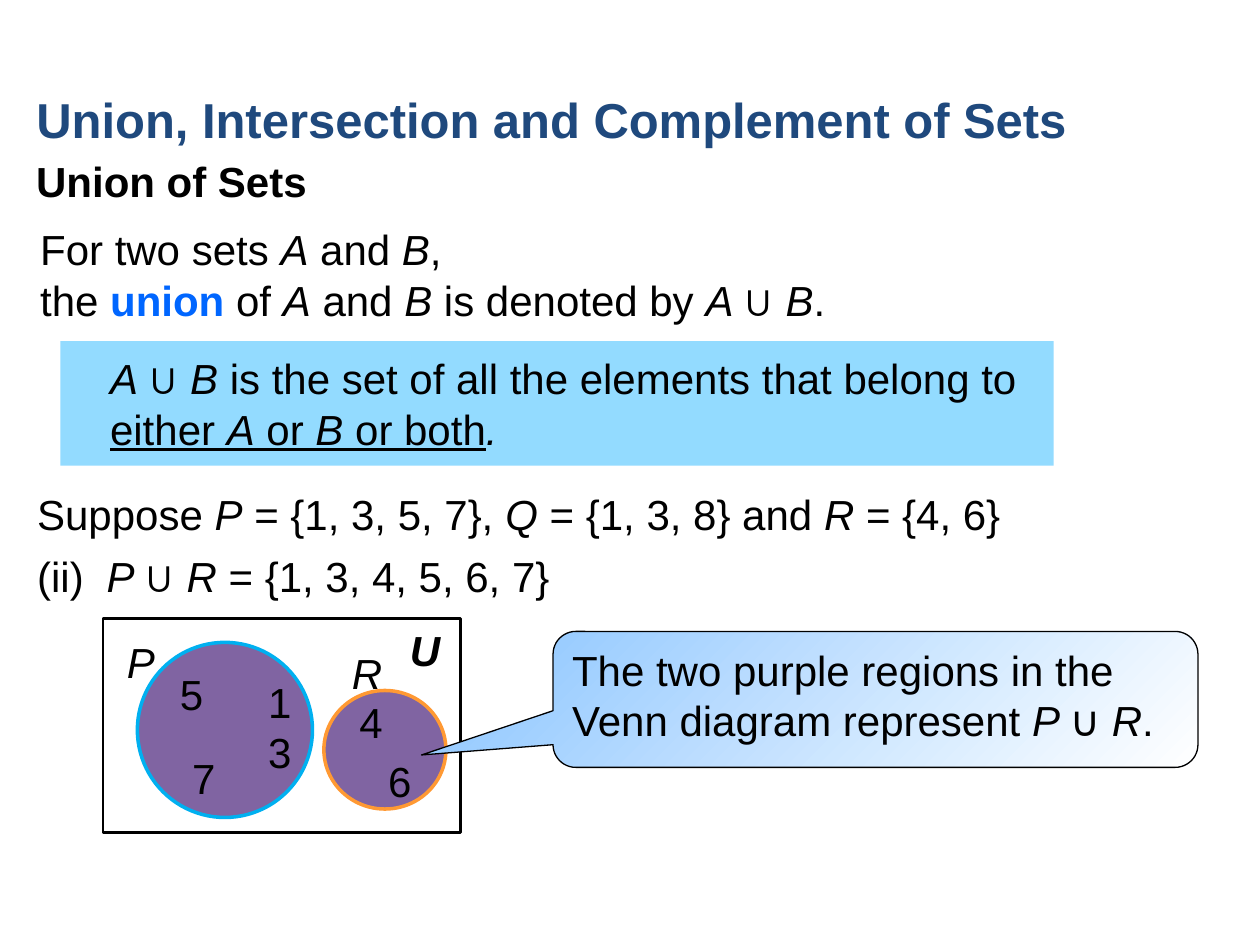
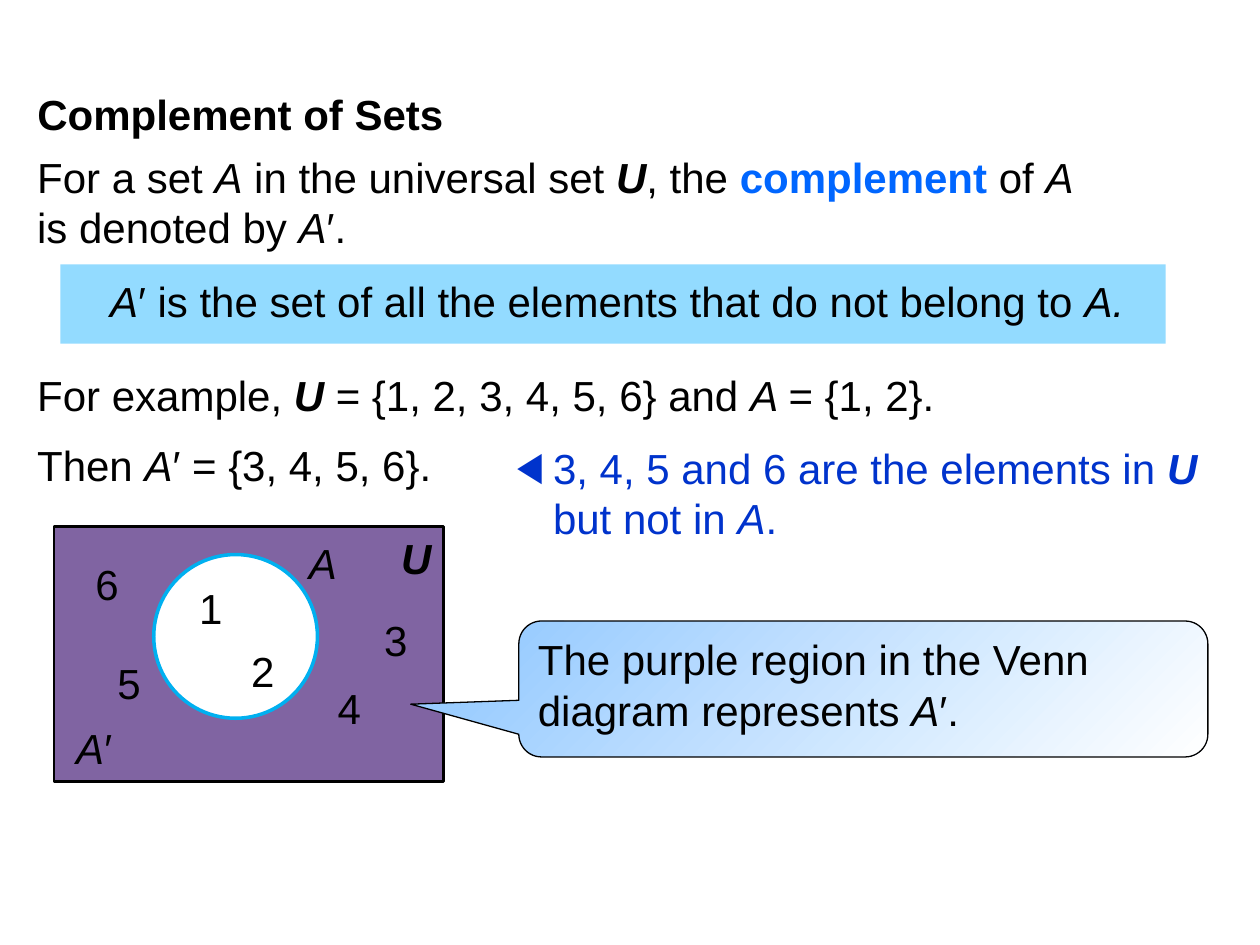
from itertools import groupby

from lxml import etree
from pptx import Presentation
from pptx.dml.color import RGBColor
from pptx.enum.shapes import MSO_SHAPE
from pptx.enum.text import MSO_ANCHOR, PP_ALIGN
from pptx.oxml.ns import qn
from pptx.util import Cm, Pt

RECTANGLE = MSO_SHAPE.RECTANGLE
ELLIPSE = MSO_SHAPE.OVAL
CALLOUT = MSO_SHAPE.ROUNDED_RECTANGULAR_CALLOUT
LEFT, CENTER, TOP = PP_ALIGN.LEFT, PP_ALIGN.CENTER, MSO_ANCHOR.TOP

COLORS = {
    "text": "000000",
    "title": "1F497D",
    "keyword": "0066FF",
    "note": "0033CC",
    "band": "66CCFF",
    "region": "8064A2",
    "white": "FFFFFF",
    "blue_ring": "00B0F0",
    "orange_ring": "FF9933",
    "callout": "99CCFF",
}
MARKS = {"*": "italic", "^": "bold", "_": "underline", "|": "keyword", "~": "symbol"}


def color(name):
    """Return the named colour."""
    return RGBColor.from_string(COLORS[name])


def write(paragraph, text, size=24, ink="text", bold=False, align=LEFT):
    """Fill a paragraph with marked-up text; each mark switches a style on or off."""
    paragraph.alignment = align
    active = set()
    for mark, characters in groupby(text, key=MARKS.get):
        if mark:
            active ^= {mark}
            continue
        run = paragraph.add_run()
        run.text = "".join(characters)
        font = run.font
        font.size = Pt(size)
        font.name = "Calibri" if "symbol" in active else "Arial"
        font.bold = bold or bool(active & {"bold", "keyword"})
        font.italic = "italic" in active
        font.underline = "underline" in active
        font.color.rgb = color("keyword" if "keyword" in active else ink)


class SlideBuilder:
    """Holds the shared style and the slide being built."""

    def __init__(self, presentation):
        """Keep the presentation and its title-only layout."""
        self.presentation = presentation
        self.layout = presentation.slide_layouts[5]
        self.slide = None

    def start(self, title, left, top, height, **style):
        """Add a slide and format its title."""
        self.slide = self.presentation.slides.add_slide(self.layout)
        shape = self.slide.shapes.title
        shape.left, shape.top = Cm(left), Cm(top)
        shape.width, shape.height = Cm(24), Cm(height)
        self.fill_frame(shape.text_frame, [title], bold=True, **style)

    def fill_frame(self, frame, lines, **style):
        """Write one paragraph for each line."""
        frame.word_wrap = True
        frame.vertical_anchor = TOP
        for index, line in enumerate(lines):
            paragraph = frame.add_paragraph() if index else frame.paragraphs[0]
            write(paragraph, line, **style)

    def text(self, top, *lines, left=0.5, width=24.15, **style):
        """Add a text box and return its first paragraph."""
        box = self.slide.shapes.add_textbox(Cm(left), Cm(top), Cm(width), Cm(1.3 * len(lines)))
        self.fill_frame(box.text_frame, lines, **style)
        return box.text_frame.paragraphs[0]

    def numbered(self, top, line):
        """Add a line whose number is followed by a tab."""
        paragraph = self.text(top, "")
        properties = paragraph._p.get_or_add_pPr()
        tabs = etree.SubElement(properties, qn("a:tabLst"))
        etree.SubElement(tabs, qn("a:tab"), pos=str(Cm(1.4)), algn="l")
        write(paragraph, line)

    def note(self, left, top, width, line):
        """Add a side note with a triangle bullet."""
        paragraph = self.text(top, "", left=left, width=width)
        properties = paragraph._p.get_or_add_pPr()
        properties.set("marL", str(Cm(0.74)))
        properties.set("indent", str(-Cm(0.74)))
        etree.SubElement(properties, qn("a:buFont"), typeface="Arial")
        etree.SubElement(properties, qn("a:buChar"), char="◀")
        write(paragraph, line, ink="note")

    def shape(self, kind, left, top, width, height, fill=None, line=None, weight=2):
        """Add a preset shape."""
        shape = self.slide.shapes.add_shape(kind, Cm(left), Cm(top), Cm(width), Cm(height))
        shape.shadow.inherit = False
        if fill:
            shape.fill.solid()
            shape.fill.fore_color.rgb = color(fill)
        else:
            shape.fill.background()
        if line:
            shape.line.color.rgb = color(line)
            shape.line.width = Pt(weight)
        else:
            shape.line.fill.background()
        return shape

    def band(self, top, width, height, *lines):
        """Add a translucent band with a definition."""
        shape = self.shape(RECTANGLE, 1.22, top, width, height, fill="band")
        tint = shape._element.spPr.find(".//" + qn("a:srgbClr"))
        etree.SubElement(tint, qn("a:alpha"), val="70000")
        frame = shape.text_frame
        frame.margin_left, frame.margin_top = Cm(1), Cm(0.23)
        self.fill_frame(frame, lines)

    def callout(self, left, top, width, tip, line):
        """Add a gradient callout pointing at a region."""
        shape = self.shape(CALLOUT, left, top, width, 2.74, line="text", weight=0.75)
        for index, value in enumerate((*tip, 0.167)):
            shape.adjustments[index] = value
        shape.fill.gradient()
        shape.fill.gradient_angle = 315
        for stop, name in zip(shape.fill.gradient_stops, ("callout", "white")):
            stop.color.rgb = color(name)
        self.fill_frame(shape.text_frame, [line])

    def labels(self, *labels):
        """Add diagram labels, each given as text, centre and top."""
        width = 1.5
        for label, center, top in labels:
            box = self.slide.shapes.add_textbox(
                Cm(center - width / 2), Cm(top), Cm(width), Cm(1.02))
            frame = box.text_frame
            frame.margin_left = frame.margin_right = 0
            self.fill_frame(frame, [label], align=CENTER)


def add_union_slide(builder):
    """Build the slide on the union of sets."""
    builder.start("Union, Intersection and Complement of Sets", 0.48, 1.68, 1.45,
                  size=28, ink="title")
    builder.text(3.02, "Union of Sets", left=0.48, bold=True)
    builder.text(4.39, "For two sets *A* and *B*,",
                 "the |union| of *A* and *B* is denoted by *A *∪* B*.", left=0.56)
    builder.band(6.88, 20.02, 2.51,
                 "*A *∪* B *is the set of all the elements that belong to",
                 "_either *A* or *B *or both_*.*")
    builder.text(9.73, "Suppose *P* = {1, 3, 5, 7}, *Q* = {1, 3, 8} and *R* = {4, 6}")
    builder.numbered(10.97, "(ii)\t*P *∪* R* = {1, 3, 4, 5, 6, 7}")
    builder.shape(RECTANGLE, 2.08, 12.47, 7.21, 4.32, line="text", weight=1.5)
    builder.shape(ELLIPSE, 2.77, 12.95, 3.53, 3.53, fill="region", line="blue_ring")
    builder.shape(ELLIPSE, 6.53, 13.92, 2.46, 2.39, fill="region", line="orange_ring")
    builder.labels(
        ("*^U^*", 8.57, 12.47), ("*P*", 2.84, 12.7), ("*R*", 7.4, 12.93),
        ("1", 5.64, 13.51), ("3", 5.64, 14.53), ("5", 3.86, 13.36),
        ("7", 4.11, 15.04), ("4", 7.48, 13.92), ("6", 8.06, 15.11))
    builder.callout(11.15, 12.73, 13, (-0.704, 0.409),
                    "The two purple regions in the Venn diagram represent *P*~ ∪~* R*.")


def add_complement_slide(builder):
    """Build the slide on the complement of a set."""
    builder.start("Complement of Sets", 0.5, 1.65, 1.3)
    builder.text(2.92, "For a set *A* in the universal set *^U^*, the |complement |of *A*",
                 "is denoted by *A*′.")
    builder.band(5.33, 22.28, 1.6,
                 "*A*′ is the set of all the elements that do not belong to *A.*")
    builder.text(7.32, "For example, *^U^* = {1, 2, 3, 4, 5, 6} and *A *= {1, 2}.")
    builder.text(8.74, "Then *A*′ = {3, 4, 5, 6}.", width=9.5)
    builder.note(10.16, 8.79, 14.35,
                 "3, 4, 5 and 6 are the elements in *^U^* but not in *A*.")
    builder.shape(RECTANGLE, 1.09, 10.62, 7.85, 5.13, fill="region", line="text", weight=1.5)
    builder.shape(ELLIPSE, 3.1, 11.18, 3.3, 3.3, fill="white", line="blue_ring")
    builder.labels(
        ("*^U^*", 8.39, 10.62), ("*A*", 6.51, 10.72), ("*A*′", 1.9, 14.45),
        ("1", 4.25, 11.61), ("2", 5.3, 12.88), ("3", 7.98, 12.27),
        ("4", 7.04, 13.64), ("5", 2.6, 13.13), ("6", 2.16, 11.13))
    builder.callout(10.46, 12.52, 13.89, (-0.657, 0.112),
                    "The purple region in the Venn diagram represents *A*′.")


def main():
    """Build and save the presentation."""
    presentation = Presentation()
    presentation.slide_width, presentation.slide_height = Cm(25.4), Cm(19.05)
    builder = SlideBuilder(presentation)
    add_union_slide(builder)
    add_complement_slide(builder)
    presentation.save("out.pptx")


if __name__ == "__main__":
    main()
